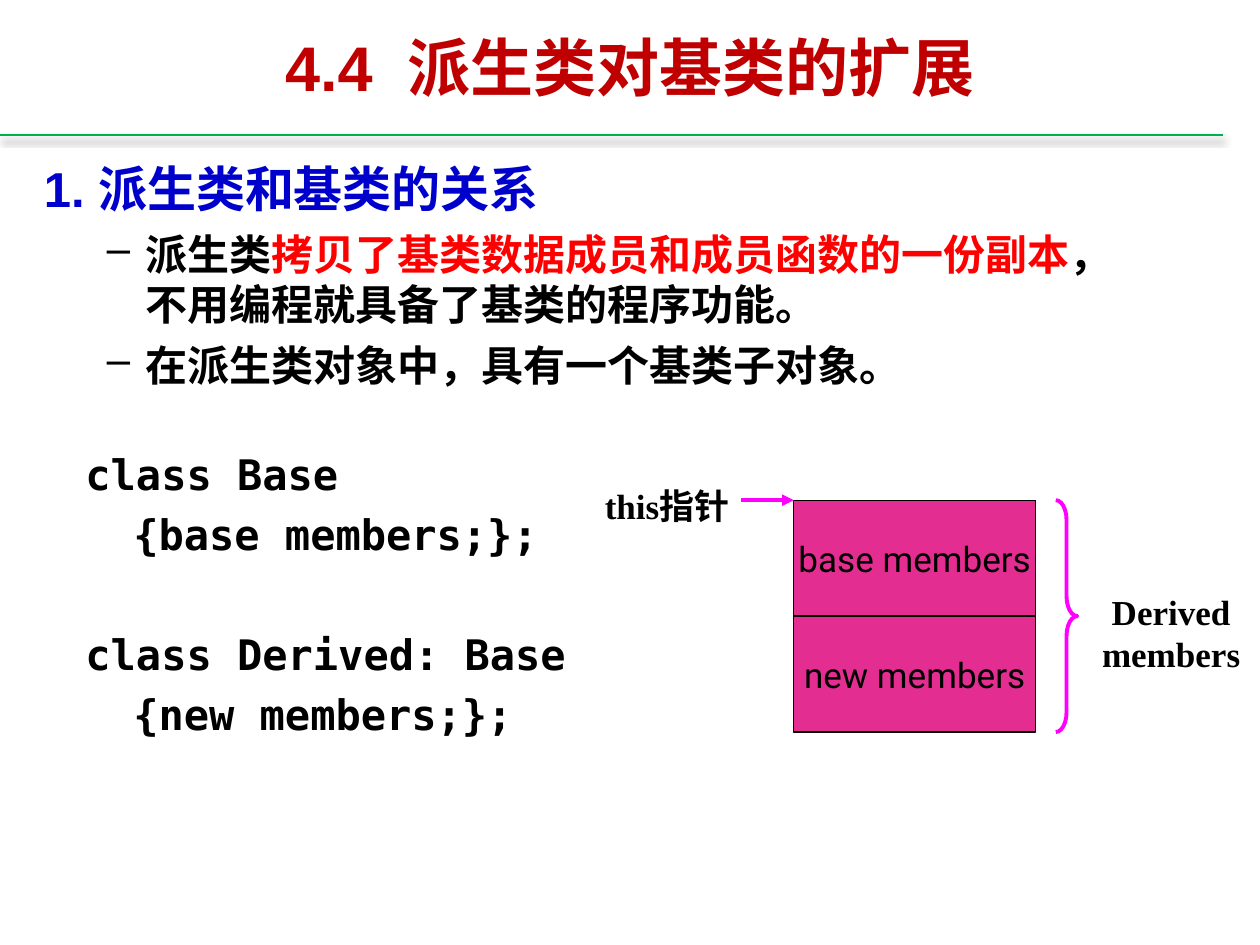
from lxml.etree import SubElement
from pptx import Presentation
from pptx.dml.color import RGBColor
from pptx.enum.shapes import MSO_CONNECTOR, MSO_SHAPE
from pptx.enum.text import MSO_ANCHOR, PP_ALIGN
from pptx.oxml.ns import qn
from pptx.util import Inches, Pt

THEME = {
    "title": ("Arial", 36, "C00000", True),
    "head": ("Arial", 28, "0000CC", True),
    "point": ("Arial", 24, "000000", True),
    "key": ("Arial", 24, "FF0000", True),
    "code": ("DejaVu Sans Mono", 24, "000000", True),
    "part": ("Roboto", 20, "000000", False),
    "label": ("Times New Roman", 20, "000000", True),
    "rule": "00B050", "box": "E32D91", "edge": "000000", "mark": "FF00FF",
}

# A paragraph is a dict: runs as (text, style), then its layout.
TITLE = [{"runs": [("4.4  派生类对基类的扩展", "title")], "align": PP_ALIGN.CENTER}]
POINT = {"left": 0.81, "hang": -0.31, "before": 6, "bullet": "–"}
BODY = [
    {"runs": [("1. 派生类和基类的关系", "head")], "left": 0.38, "hang": -0.38, "before": 6.5},
    {"runs": [("派生类", "point"),
              ("拷贝了基类数据成员和成员函数的一份副本", "key"),
              ("，不用编程就具备了基类的程序功能。", "point")], **POINT},
    {"runs": [("在派生类对象中，具有一个基类子对象。", "point")], **POINT},
]
CLASSES = [("class Base", "{base members;};"),
           ("class Derived: Base", "{new members;};")]
GAP, BREAK = 5.6, 39.4  # points before a code line and before the next class
PARTS = ["base members", "new members"]
LABELS = [("this指针", 4.63, 3.8, 0.43), ("Derived members", 8.63, 4.64, 0.77)]
LEFT, TOP, WIDE, HIGH = 6.3, 3.97, 1.92, 0.92


def color(name):
    return RGBColor.from_string(THEME[name])


def write(frame, paras, wrap=True, anchor=MSO_ANCHOR.TOP):
    frame.word_wrap = wrap
    frame.vertical_anchor = anchor
    for i, item in enumerate(paras):
        para = frame.paragraphs[0] if i == 0 else frame.add_paragraph()
        para.alignment = item.get("align", PP_ALIGN.LEFT)
        para.space_before = Pt(item.get("before", 0))
        props = para._p.get_or_add_pPr()
        props.set("marL", str(Inches(item.get("left", 0))))
        props.set("indent", str(Inches(item.get("hang", 0))))
        if "bullet" in item:
            SubElement(props, qn("a:buChar"), char=item["bullet"])
        for text, style in item["runs"]:
            run = para.add_run()
            run.text = text
            face, size, shade, bold = THEME[style]
            run.font.name, run.font.size, run.font.bold = face, Pt(size), bold
            run.font.color.rgb = RGBColor.from_string(shade)


def add_text(shapes, area, paras, **kind):
    box = shapes.add_textbox(*map(Inches, area))
    write(box.text_frame, paras, **kind)


def add_line(shapes, start, end, shade, width):
    """Draw a straight line and return it with its empty effect list."""
    line = shapes.add_connector(MSO_CONNECTOR.STRAIGHT, *map(Inches, start + end))
    line.line.color.rgb = color(shade)
    line.line.width = Pt(width)
    return line, SubElement(line._element.spPr, qn("a:effectLst"))


def add_rule(shapes):
    _, effects = add_line(shapes, (0, 1.07), (9.71, 1.07), "rule", 1.25)
    shadow = SubElement(effects, qn("a:outerShdw"), blurRad=str(Pt(4)),
                        dist=str(Pt(2.5)), dir="5400000", rotWithShape="0")
    black = SubElement(shadow, qn("a:srgbClr"), val="000000")
    SubElement(black, qn("a:alpha"), val="47000")


def add_code(shapes):
    lines = []
    for i, (head, body) in enumerate(CLASSES):
        lines.append({"runs": [(head, "code")], "left": 0.38, "hang": -0.38,
                      "before": BREAK if i else GAP})
        lines.append({"runs": [(body, "code")], "left": 0.38, "before": GAP})
    add_text(shapes, (0.58, 3.51, 4.17, 2.58), lines)


def add_diagram(shapes):
    for i, name in enumerate(PARTS):
        area = (LEFT, TOP + i * HIGH, WIDE, HIGH)
        box = shapes.add_shape(MSO_SHAPE.RECTANGLE, *map(Inches, area))
        box.shadow.inherit = False
        box.fill.solid()
        box.fill.fore_color.rgb = color("box")
        box.line.color.rgb = color("edge")
        box.line.width = Pt(0.75)
        write(box.text_frame, [{"runs": [(name, "part")], "align": PP_ALIGN.CENTER}],
              wrap=False, anchor=MSO_ANCHOR.MIDDLE)
    for name, left, top, high in LABELS:
        add_text(shapes, (left, top, 1.33, high),
                 [{"runs": [(name, "label")], "align": PP_ALIGN.CENTER, "before": 11}])

    arrow, _ = add_line(shapes, (5.88, TOP), (LEFT, TOP), "mark", 2.25)
    SubElement(arrow.line._get_or_add_ln(), qn("a:tailEnd"), type="triangle")

    area = (8.38, TOP, 0.17, len(PARTS) * HIGH)
    brace = shapes.add_shape(MSO_SHAPE.RIGHT_BRACE, *map(Inches, area))
    brace.adjustments[0] = 0.92
    brace.shadow.inherit = False
    brace.fill.background()
    brace.line.color.rgb = color("mark")
    brace.line.width = Pt(2.25)


def main():
    deck = Presentation()
    deck.slide_width, deck.slide_height = Inches(10), Inches(7.5)
    shapes = deck.slides.add_slide(deck.slide_layouts[6]).shapes
    add_rule(shapes)
    add_text(shapes, (0.25, 1.21, 9, 3.78), BODY)
    add_code(shapes)
    add_diagram(shapes)
    add_text(shapes, (0.75, 0.21, 8.5, 0.63), TITLE, anchor=MSO_ANCHOR.MIDDLE)
    deck.save("out.pptx")


if __name__ == "__main__":
    main()
